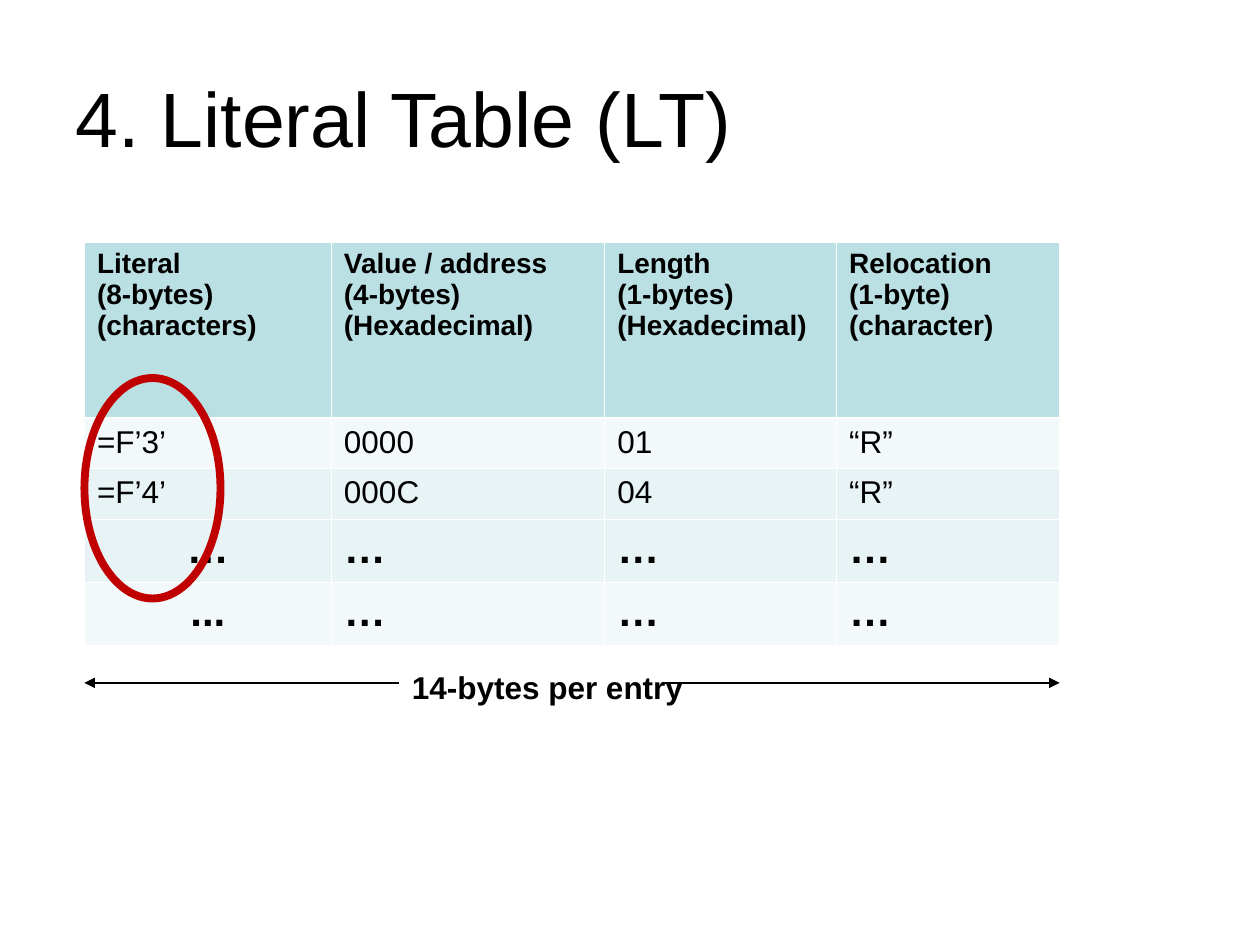
import pptx
import pptx.dml.color
import pptx.enum.shapes
import pptx.enum.text
import pptx.oxml.ns
import pptx.util
import lxml.etree

Inches, Pt = pptx.util.Inches, pptx.util.Pt
ALIGN = pptx.enum.text.PP_ALIGN
ANCHOR = pptx.enum.text.MSO_ANCHOR

# Content
TITLE = "4. Literal Table (LT)"
HEADS = ["Literal\n(8-bytes)\n(characters)",
         "Value / address\n(4-bytes)\n(Hexadecimal)",
         "Length\n(1-bytes)\n(Hexadecimal)",
         "Relocation\n(1-byte)\n(character)"]
ROWS = [["=F’3’", "0000", "01", "“R”"],
        ["=F’4’", "000C", "04", "“R”"],
        ["…", "…", "…", "…"],
        ["...", "…", "…", "…"]]
NOTE = "14-bytes per entry"

# Theme and grid
THEME = {
    "font": "Arial", "ink": "000000", "rule": "FFFFFF", "ring": "C00000",
    "head": "BBE0E3", "pale": "F3F9FA", "tint": "E7F3F4", "shade": "808080",
    "title": 44, "label": 16, "body": 18, "dots": 24,
    "thin": 0.45, "thick": 1.47, "arrow": 0.75, "loop": 4.5,
}
LEFT, TOP = 0.67, 1.92
COLS = [1.96, 2.17, 1.84, 1.77]
HIGH = [1.4, 0.4, 0.4, 0.5, 0.5]
FILLS = ["head", "pale", "tint", "tint", "pale"]
SIZES = ["label", "body", "body", "dots", "dots"]
BOLD = [True, False, False, True, True]
NOTE_X, RULE_Y = 3.17, 5.42


def color(name):
    return pptx.dml.color.RGBColor.from_string(THEME[name])


def apply(item, values):
    for name, value in values.items():
        setattr(item, name, value)


def node(parent, tag, **values):
    made = lxml.etree.SubElement(parent, pptx.oxml.ns.qn("a:" + tag))
    for name, value in values.items():
        made.set(name, str(value))
    return made


def write(frame, text, size, bold=False, align=ALIGN.LEFT):
    apply(frame, {"text": text, "word_wrap": True})
    for para in frame.paragraphs:
        para.alignment = align
        for run in para.runs:
            apply(run.font, {"name": THEME["font"], "size": Pt(THEME[size]),
                             "bold": bold})
            run.font.color.rgb = color("ink")


def text_box(slide, box, anchor, *style):
    frame = slide.shapes.add_textbox(*map(Inches, box)).text_frame
    write(frame, *style)
    frame.vertical_anchor = anchor
    return frame


def edge(cell, widths):
    props = cell._tc.get_or_add_tcPr()
    for spot, (side, width) in enumerate(widths.items()):
        line = node(props, "ln" + side, w=int(Pt(THEME[width])))
        node(node(line, "solidFill"), "srgbClr", val=THEME["rule"])
        props.insert(spot, line)


def table(slide):
    size = sum(COLS), sum(HIGH)
    grid = slide.shapes.add_table(len(HIGH), len(COLS),
                                  *map(Inches, (LEFT, TOP, *size))).table
    for col, width in zip(grid.columns, COLS):
        col.width = Inches(width)
    for r, texts in enumerate([HEADS] + ROWS):
        grid.rows[r].height = Inches(HIGH[r])
        for c, text in enumerate(texts):
            cell = grid.cell(r, c)
            mid = c == 0 and SIZES[r] == "dots"
            write(cell.text_frame, text, SIZES[r], BOLD[r],
                  ALIGN.CENTER if mid else ALIGN.LEFT)
            cell.fill.solid()
            cell.fill.fore_color.rgb = color(FILLS[r])
            edge(cell, {"L": "thin", "R": "thin",
                        "T": "thick" if r == 1 else "thin",
                        "B": "thick" if r == 0 else "thin"})


def shadow(run):
    props = run.font._element
    effects = node(props, "effectLst")
    cast = node(effects, "outerShdw", dist=int(Pt(2)), dir=2700000)
    node(cast, "srgbClr", val=THEME["shade"])
    props.find(pptx.oxml.ns.qn("a:solidFill")).addnext(effects)


def arrow(slide, start, end):
    kind = pptx.enum.shapes.MSO_CONNECTOR.STRAIGHT
    line = slide.shapes.add_connector(
        kind, *map(Inches, (start, RULE_Y, end, RULE_Y)))
    line.line.color.rgb = color("ink")
    line.line.width = Pt(THEME["arrow"])
    node(line.line._get_or_add_ln(), "tailEnd", type="triangle")
    node(line._element.spPr, "effectLst")


def main():
    deck = pptx.Presentation()
    apply(deck, {"slide_width": Inches(10), "slide_height": Inches(7.5)})
    slide = deck.slides.add_slide(deck.slide_layouts[6])

    # Title and table
    text_box(slide, (0.5, 0.3, 9, 1.25), ANCHOR.MIDDLE,
             TITLE, "title", False, ALIGN.JUSTIFY)
    table(slide)

    # Entry width: label between two arrows
    note = text_box(slide, (NOTE_X, 5.25, 2.42, 0.4), ANCHOR.TOP,
                    NOTE, "body", True)
    shadow(note.paragraphs[0].runs[0])
    arrow(slide, 5.25, LEFT + sum(COLS))
    arrow(slide, NOTE_X, LEFT)

    # Ring around the literals
    ring = slide.shapes.add_shape(pptx.enum.shapes.MSO_SHAPE.OVAL,
                                  *map(Inches, (LEFT, 3, 1.08, 1.75)))
    ring.shadow.inherit = False
    ring.fill.background()
    ring.line.color.rgb = color("ring")
    ring.line.width = Pt(THEME["loop"])

    deck.save("out.pptx")


if __name__ == "__main__":
    main()
